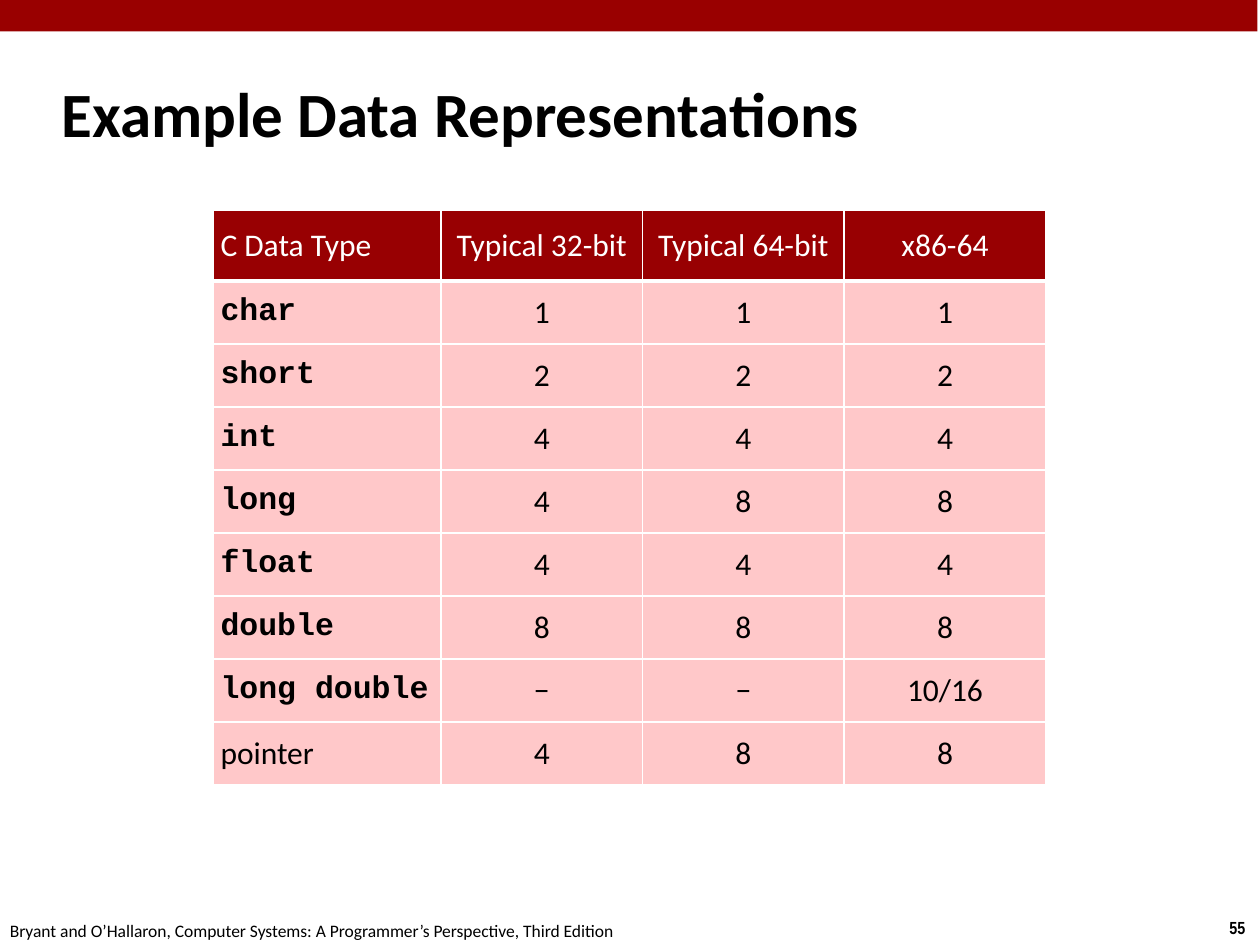
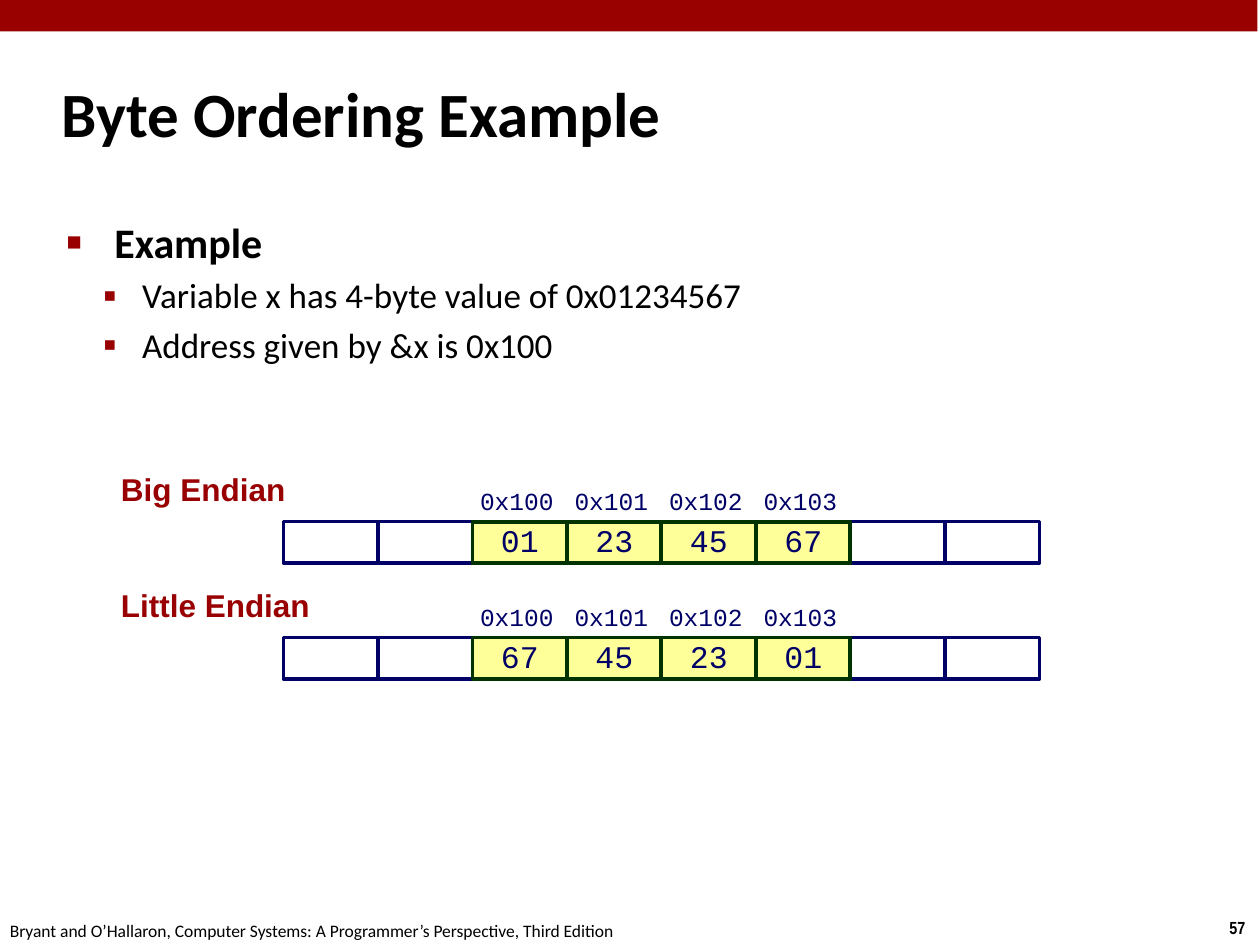
"""Build two slides on data sizes and byte ordering in C."""
from dataclasses import dataclass
from typing import Optional

from lxml.etree import SubElement
from pptx import Presentation
from pptx.dml.color import RGBColor
from pptx.enum.shapes import MSO_SHAPE
from pptx.enum.text import MSO_ANCHOR, PP_ALIGN
from pptx.oxml import parse_xml
from pptx.oxml.ns import nsdecls, qn
from pptx.util import Inches, Pt


@dataclass(frozen=True)
class Theme:
    band: str = "990000"
    accent: str = "980002"
    row_fill: str = "FFC8C9"
    black: str = "000000"
    white: str = "FFFFFF"
    navy: str = "000066"
    byte_fill: str = "FFFF99"
    byte_line: str = "003300"
    body_font: str = "Calibri"
    code_font: str = "Courier New"
    label_font: str = "Arial"
    number_font: str = "Arial Narrow"
    title_size: float = 36
    heading_size: float = 24
    item_size: float = 20
    text_size: float = 18
    address_size: float = 14
    footer_size: float = 10


@dataclass(frozen=True)
class Box:
    left: float
    top: float
    width: float
    height: float

    def lengths(self) -> tuple:
        return tuple(Inches(side) for side in (self.left, self.top, self.width, self.height))


@dataclass(frozen=True)
class Bullet:
    character: str
    percent: int
    indent: float
    hanging: float
    level: int


@dataclass(frozen=True)
class MemoryRow:
    label: str
    top: float
    byte_values: tuple


THEME = Theme()
FOOTER = "Bryant and O’Hallaron, Computer Systems: A Programmer’s Perspective, Third Edition"
DEFAULT_MARGINS = (0.1, 0.05, 0.1, 0.05)
HEADING_BULLET = Bullet("■", 60, 0.38, 0.38, 0)
ITEM_BULLET = Bullet("▪", 110, 0.6, 0.31, 1)

COLUMN_WIDTHS = (1.81, 1.6, 1.6, 1.6)
HEADER_HEIGHT = 0.56
ROW_HEIGHT = 0.5
DATA_SIZES = (
    ("C Data Type", "Typical 32-bit", "Typical 64-bit", "x86-64"),
    ("char", "1", "1", "1"),
    ("short", "2", "2", "2"),
    ("int", "4", "4", "4"),
    ("long", "4", "8", "8"),
    ("float", "4", "4", "4"),
    ("double", "8", "8", "8"),
    ("long double", "−", "−", "10/16"),
    ("pointer", "4", "8", "8"),
)

BULLETS = (
    ("Example", HEADING_BULLET),
    ("Variable x has 4-byte value of 0x01234567", ITEM_BULLET),
    ("Address given by &x is 0x100", ITEM_BULLET),
)
MEMORY_LEFT = 2.25
CELL_WIDTH = 0.75
CELL_HEIGHT = 0.33
CELL_COUNT = 8
FIRST_BYTE = 2
FIRST_ADDRESS = 0x100
MEMORY_ROWS = (
    MemoryRow("Big Endian", 4.14, ("01", "23", "45", "67")),
    MemoryRow("Little Endian", 5.06, ("67", "45", "23", "01")),
)


def color(value: str) -> RGBColor:
    """Turn a hexadecimal string into a colour."""
    return RGBColor.from_string(value)


def write(paragraph, text: str, *, size: float = THEME.text_size, font: str = THEME.body_font,
          fill: str = THEME.black, bold: bool = False, align=PP_ALIGN.LEFT,
          line_spacing: Optional[float] = None, space_before: float = 0) -> None:
    """Put formatted text into a paragraph."""
    paragraph.alignment = align
    if line_spacing:
        paragraph.line_spacing = line_spacing
    if space_before:
        paragraph.space_before = Pt(space_before)
    run = paragraph.add_run()
    run.text = text
    run.font.size = Pt(size)
    run.font.name = font
    run.font.bold = bold
    run.font.color.rgb = color(fill)


def set_margins(target, margins: tuple) -> None:
    """Set the left, top, right and bottom margins of a text frame or cell."""
    for side, margin in zip(("left", "top", "right", "bottom"), margins):
        setattr(target, f"margin_{side}", Inches(margin))


def add_text_box(slide, box: Box, *, anchor=MSO_ANCHOR.TOP, wrap: bool = True,
                 margins: tuple = DEFAULT_MARGINS):
    """Add an empty text box and return its text frame."""
    frame = slide.shapes.add_textbox(*box.lengths()).text_frame
    frame.word_wrap = wrap
    frame.vertical_anchor = anchor
    set_margins(frame, margins)
    return frame


def add_rectangle(slide, box: Box, *, fill: str, line: Optional[str] = None,
                  line_width: float = 2):
    """Add a flat rectangle and return its text frame."""
    shape = slide.shapes.add_shape(MSO_SHAPE.RECTANGLE, *box.lengths())
    shape.shadow.inherit = False
    shape.fill.solid()
    shape.fill.fore_color.rgb = color(fill)
    if line:
        shape.line.color.rgb = color(line)
        shape.line.width = Pt(line_width)
    else:
        shape.line.fill.background()
    frame = shape.text_frame
    frame.word_wrap = False
    frame.vertical_anchor = MSO_ANCHOR.MIDDLE
    set_margins(frame, (0.06, 0.06, 0.06, 0.06))
    return frame


def add_base_slide(presentation, title: str, number: int):
    """Add a blank slide with the band, title, footer and number."""
    slide = presentation.slides.add_slide(presentation.slide_layouts[6])
    add_rectangle(slide, Box(-0.02, 0, 10, 0.25), fill=THEME.band)
    number_frame = add_text_box(slide, Box(9.66, 7.23, 0.34, 0.27), wrap=False)
    write(number_frame.paragraphs[0], str(number), size=THEME.footer_size,
          font=THEME.number_font, bold=True)
    footer_frame = add_text_box(slide, Box(-0.02, 7.25, 5.08, 0.27), wrap=False)
    write(footer_frame.paragraphs[0], FOOTER, size=THEME.footer_size)
    title_frame = add_text_box(slide, Box(0.39, 0.48, 8.3, 0.83), anchor=MSO_ANCHOR.MIDDLE)
    write(title_frame.paragraphs[0], title, size=THEME.title_size, bold=True)
    return slide


def set_borders(cell, *, top: float = 1, bottom: float = 1) -> None:
    """Draw white borders around a cell."""
    properties = cell._tc.get_or_add_tcPr()
    widths = {"lnL": 1, "lnR": 1, "lnT": top, "lnB": bottom}
    for position, (tag, width) in enumerate(widths.items()):
        properties.insert(position, parse_xml(
            f'<a:{tag} {nsdecls("a")} w="{Pt(width)}"><a:solidFill>'
            f'<a:srgbClr val="{THEME.white}"/></a:solidFill></a:{tag}>'))


def add_size_table(slide) -> None:
    """Add the table of C data type sizes."""
    height = HEADER_HEIGHT + ROW_HEIGHT * (len(DATA_SIZES) - 1)
    box = Box(1.69, 1.67, sum(COLUMN_WIDTHS), height)
    table = slide.shapes.add_table(len(DATA_SIZES), len(COLUMN_WIDTHS), *box.lengths()).table
    for column, width in zip(table.columns, COLUMN_WIDTHS):
        column.width = Inches(width)
    for row_index, values in enumerate(DATA_SIZES):
        header = row_index == 0
        table.rows[row_index].height = Inches(HEADER_HEIGHT if header else ROW_HEIGHT)
        for column_index, value in enumerate(values):
            first = column_index == 0
            code = first and not header and value != "pointer"
            cell = table.cell(row_index, column_index)
            cell.vertical_anchor = MSO_ANCHOR.MIDDLE
            set_margins(cell, (0.06, 0.06, 0.06, 0.06))
            cell.fill.solid()
            cell.fill.fore_color.rgb = color(THEME.accent if header else THEME.row_fill)
            set_borders(cell, top=3 if row_index == 1 else 1, bottom=3 if header else 1)
            write(cell.text_frame.paragraphs[0], value, bold=code,
                  font=THEME.code_font if code else THEME.body_font,
                  fill=THEME.white if header else THEME.black,
                  align=PP_ALIGN.LEFT if first else PP_ALIGN.CENTER)


def set_bullet(paragraph, bullet: Bullet) -> None:
    """Give a paragraph its bullet, level and hanging indent."""
    paragraph.level = bullet.level
    properties = paragraph._p.get_or_add_pPr()
    properties.set("marL", str(Inches(bullet.indent)))
    properties.set("indent", str(-Inches(bullet.hanging)))
    SubElement(SubElement(properties, qn("a:buClr")), qn("a:srgbClr"), val=THEME.band)
    SubElement(properties, qn("a:buSzPct"), val=str(bullet.percent * 1000))
    SubElement(properties, qn("a:buFont"), typeface=THEME.label_font)
    SubElement(properties, qn("a:buChar"), char=bullet.character)


def add_bullets(slide) -> None:
    """Add the bulleted description of the variable."""
    frame = add_text_box(slide, Box(0.43, 1.67, 8.64, 1.5))
    for index, (text, bullet) in enumerate(BULLETS):
        paragraph = frame.add_paragraph() if index else frame.paragraphs[0]
        set_bullet(paragraph, bullet)
        heading = bullet is HEADING_BULLET
        write(paragraph, text, bold=heading, space_before=4 if index else 0,
              size=THEME.heading_size if heading else THEME.item_size)


def cell_box(index: int, top: float) -> Box:
    """Return the place of one memory cell."""
    return Box(MEMORY_LEFT + index * CELL_WIDTH, top, CELL_WIDTH, CELL_HEIGHT)


def add_memory_row(slide, row: MemoryRow) -> None:
    """Add a labelled strip of memory with its addresses and bytes."""
    byte_cells = range(FIRST_BYTE, FIRST_BYTE + len(row.byte_values))
    for index in range(CELL_COUNT):
        if index not in byte_cells:
            add_rectangle(slide, cell_box(index, row.top), fill=THEME.white, line=THEME.navy)
    for offset, (index, value) in enumerate(zip(byte_cells, row.byte_values)):
        address = add_text_box(slide, cell_box(index, row.top - CELL_HEIGHT), wrap=False,
                               anchor=MSO_ANCHOR.MIDDLE, margins=(0.06, 0.06, 0.1, 0.06))
        write(address.paragraphs[0], f"0x{FIRST_ADDRESS + offset:x}", size=THEME.address_size,
              font=THEME.code_font, fill=THEME.navy)
        byte = add_rectangle(slide, cell_box(index, row.top), fill=THEME.byte_fill,
                             line=THEME.byte_line, line_width=2.25)
        write(byte.paragraphs[0], value, font=THEME.code_font, fill=THEME.navy,
              align=PP_ALIGN.CENTER, line_spacing=0.9)
    label = add_text_box(slide, Box(0.92, row.top - 0.42, 1.96, 0.36),
                         margins=(0.04, 0.03, 0.07, 0.03))
    write(label.paragraphs[0], row.label, font=THEME.label_font, fill=THEME.accent,
          bold=True, line_spacing=0.95)


def main() -> None:
    """Build and save the presentation."""
    presentation = Presentation()
    presentation.slide_width = Inches(10)
    presentation.slide_height = Inches(7.5)
    add_size_table(add_base_slide(presentation, "Example Data Representations", 55))
    ordering_slide = add_base_slide(presentation, "Byte Ordering Example", 57)
    add_bullets(ordering_slide)
    for row in MEMORY_ROWS:
        add_memory_row(ordering_slide, row)
    presentation.save("out.pptx")


if __name__ == "__main__":
    main()
